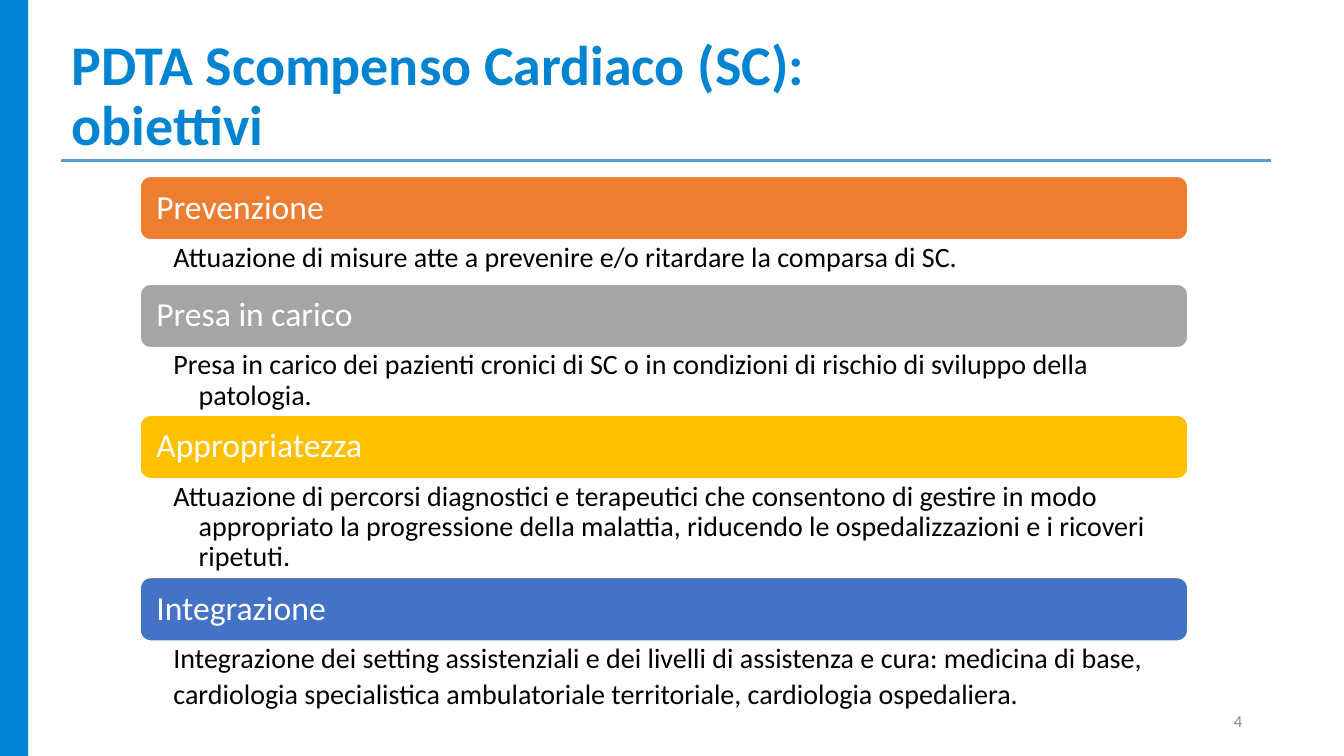
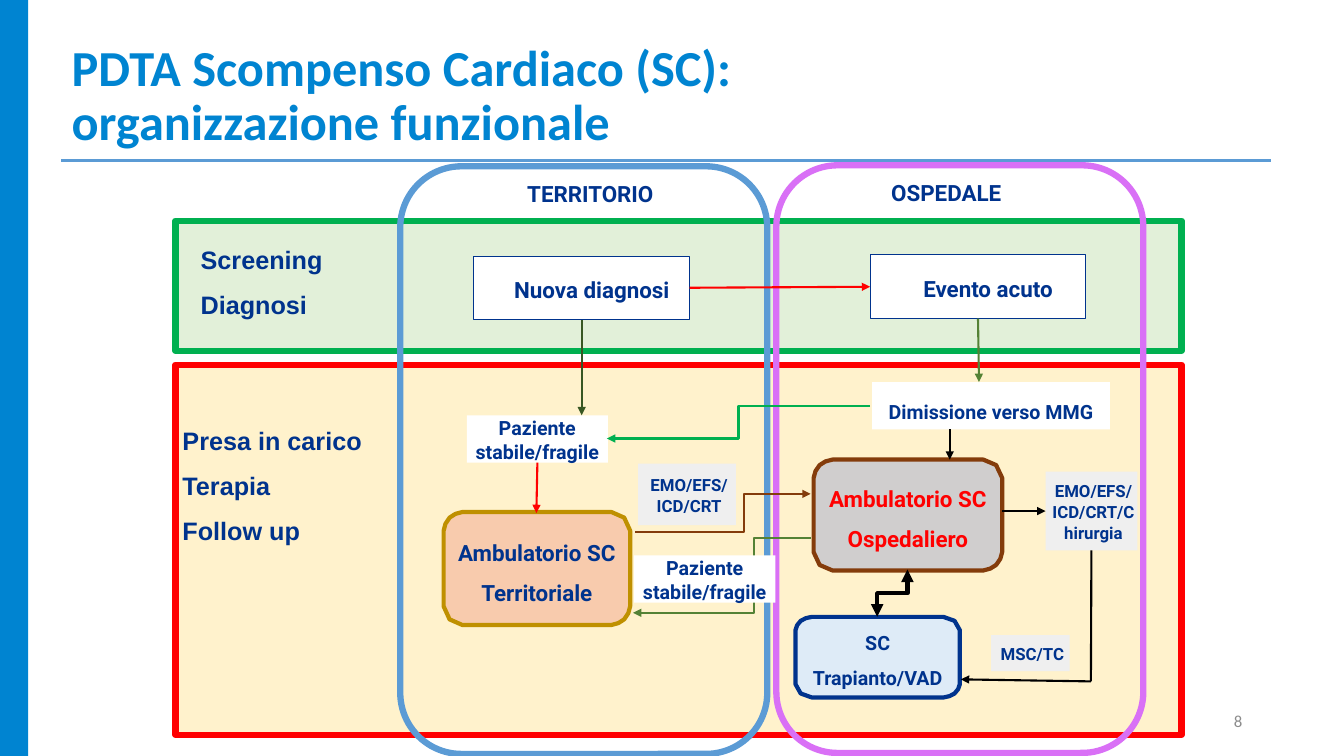
from lxml.etree import SubElement
from pptx import Presentation
from pptx.dml.color import RGBColor
from pptx.enum.shapes import MSO_CONNECTOR as Conn, MSO_SHAPE as Shape
from pptx.enum.text import MSO_ANCHOR as Anchor, MSO_AUTO_SIZE as AutoSize, PP_ALIGN as Align
from pptx.oxml.ns import qn
from pptx.util import Inches, Pt

BLUE = RGBColor(0x00, 0x84, 0xD1)
RULE = RGBColor(0x5B, 0x9B, 0xD5)
NAVY = RGBColor(0x00, 0x33, 0x8D)
WHITE = RGBColor(0xFF, 0xFF, 0xFF)
BLACK = RGBColor(0x00, 0x00, 0x00)
GREY = RGBColor(0x8C, 0x8C, 0x8C)
SILVER = RGBColor(0xA5, 0xA5, 0xA5)
ORANGE = RGBColor(0xED, 0x7D, 0x31)
AMBER = RGBColor(0xFF, 0xC0, 0x00)
INDIGO = RGBColor(0x44, 0x72, 0xC4)
RED = RGBColor(0xFF, 0x00, 0x00)
GREEN = RGBColor(0x00, 0xB0, 0x50)
OLIVE = RGBColor(0x54, 0x82, 0x35)
FOREST = RGBColor(0x38, 0x57, 0x23)
BROWN = RGBColor(0x84, 0x3C, 0x0B)
GOLD = RGBColor(0xBF, 0x90, 0x00)
VIOLET = RGBColor(0xD9, 0x70, 0xF6)
CREAM = RGBColor(0xFF, 0xF2, 0xCC)
MINT = RGBColor(0xE2, 0xF0, 0xD9)
PEACH = RGBColor(0xF8, 0xCB, 0xAD)
ASH = RGBColor(0xD0, 0xCE, 0xCE)
ICE = RGBColor(0xDE, 0xEB, 0xF7)
PALE = RGBColor(0xEF, 0xEF, 0xEF)

FINE = [(0, 1), (0.1, 0.63), (0.32, 0.3), (0.63, 0.1), (1, 0)]
COARSE = [(0, 1), (0.32, 0.3), (1, 0)]

GOALS = [
    ("Prevenzione", ORANGE, 0.44,
     "Attuazione di misure atte a prevenire e/o ritardare la comparsa di SC."),
    ("Presa in carico", SILVER, 0.67,
     "Presa in carico dei pazienti cronici di SC o in condizioni di rischio "
     "di sviluppo della patologia."),
    ("Appropriatezza", AMBER, 0.98,
     "Attuazione di percorsi diagnostici e terapeutici che consentono di gestire in modo "
     "appropriato la progressione della malattia, riducendo le ospedalizzazioni e i ricoveri "
     "ripetuti."),
    ("Integrazione", INDIGO, 0.75,
     "Integrazione dei setting assistenziali e dei livelli di assistenza e cura: "
     "medicina di base,\n"
     "cardiologia specialistica ambulatoriale territoriale, cardiologia ospedaliera."),
]


def write(tf, text, size=18, color=NAVY, font="Roboto", bold=True, align=Align.CENTER,
          spacing=1.0, after=0, anchor=Anchor.MIDDLE, insets=(0, 0, 0, 0), hang=0):
    tf.word_wrap = True
    tf.auto_size = AutoSize.NONE
    tf.vertical_anchor = anchor
    tf.margin_left, tf.margin_top, tf.margin_right, tf.margin_bottom = map(Inches, insets)
    for i, line in enumerate(text.split("\n")):
        p = tf.add_paragraph() if i else tf.paragraphs[0]
        p.alignment, p.line_spacing = align, spacing
        p.space_before, p.space_after = Pt(0), Pt(after)
        if hang:
            pPr = p._p.get_or_add_pPr()
            pPr.set("marL", str(Inches(hang)))
            pPr.set("indent", str(-Inches(hang)))
        r = p.add_run()
        r.text = line
        r.font.name, r.font.size, r.font.bold = font, Pt(size), bold
        r.font.color.rgb = color


def label(s, x, y, w, h, text, **fmt):
    tb = s.shapes.add_textbox(Inches(x), Inches(y), Inches(w), Inches(h))
    write(tb.text_frame, text, **fmt)


def paint(sp, fill=None, line=None, width=1):
    sp.shadow.inherit = False
    if fill is None:
        sp.fill.background()
    else:
        sp.fill.solid()
        sp.fill.fore_color.rgb = fill
    if line is None:
        sp.line.fill.background()
    else:
        sp.line.color.rgb = line
        sp.line.width = Pt(width)


def box(s, x, y, w, h, fill=None, line=None, width=1, kind=Shape.RECTANGLE, text="", **fmt):
    sp = s.shapes.add_shape(kind, Inches(x), Inches(y), Inches(w), Inches(h))
    paint(sp, fill, line, width)
    if text:
        write(sp.text_frame, text, **fmt)
    return sp


def clinic(s, x, y, w, h, fill, line, text, **fmt):
    rx, ry = 0.1 * w, 0.165 * h
    pts = [(x + a * rx, y + b * ry) for a, b in FINE]
    pts += [(x + w - a * rx, y + b * ry) for a, b in reversed(COARSE)]
    pts += [(x + w - a * rx, y + h - b * ry) for a, b in FINE]
    pts += [(x + a * rx, y + h - b * ry) for a, b in reversed(COARSE)]
    pts = [(Inches(px), Inches(py)) for px, py in pts]
    fb = s.shapes.build_freeform(*pts[0])
    fb.add_line_segments(pts[1:], close=True)
    sp = fb.convert_to_shape()
    paint(sp, fill, line, 3)
    write(sp.text_frame, text, spacing=1.5, insets=(0, 0, 0, 0.06), **fmt)


def link(s, start, end, color=BLACK, width=1.5, head=False, tail=True, adj=None,
         upright=False, src=None, dst=None):
    (x1, y1), (x2, y2) = start, end
    if upright:
        cx, cy, dx, dy = (x1 + x2) / 2, (y1 + y2) / 2, x2 - x1, y2 - y1
        x1, y1, x2, y2 = cx - dy / 2, cy + dx / 2, cx + dy / 2, cy - dx / 2
    kind = Conn.STRAIGHT if adj is None else Conn.ELBOW
    cn = s.shapes.add_connector(kind, Inches(x1), Inches(y1), Inches(x2), Inches(y2))
    if src:
        cn.begin_connect(*src)
    if dst:
        cn.end_connect(*dst)
    cn.line.color.rgb = color
    cn.line.width = Pt(width)
    spPr = cn._element.spPr
    if upright:
        spPr.find(qn("a:xfrm")).set("rot", "5400000")
    if adj is not None:
        guides = spPr.find(qn("a:prstGeom")).find(qn("a:avLst"))
        SubElement(guides, qn("a:gd"), name="adj1", fmla=f"val {round(adj * 100000)}")
    for tag, shown in (("a:headEnd", head), ("a:tailEnd", tail)):
        if shown:
            SubElement(spPr.find(qn("a:ln")), qn(tag), type="triangle")
    SubElement(spPr, qn("a:effectLst"))


def new_slide(prs, title, number, title_w, title_size):
    s = prs.slides.add_slide(prs.slide_layouts[5])
    box(s, 0, 0, 0.28, 7.5, BLUE)
    link(s, (0.61, 1.59), (12.61, 1.59), RULE, 2.25, tail=False)
    label(s, 9.42, 6.95, 3, 0.4, number, size=12, color=GREY, font="Calibri", bold=False,
          align=Align.RIGHT, insets=(0.1, 0.05, 0.1, 0.05))
    t = s.shapes.title
    t.left, t.top, t.width, t.height = map(Inches, (0.61, 0.34, title_w, 1.25))
    write(t.text_frame, title, size=title_size, color=BLUE, font="Calibri",
          align=Align.LEFT, spacing=0.9, insets=(0.1, 0.05, 0.1, 0.05))
    return s


def goal_list(s, x, y, w):
    band_h = 0.63
    plain = dict(font="Calibri", bold=False, align=Align.LEFT, spacing=0.9)
    for name, color, body_h, body in GOALS:
        box(s, x, y, w, band_h, color, WHITE, kind=Shape.ROUNDED_RECTANGLE, text=name,
            size=24, color=WHITE, insets=(0.13, 0.1, 0.13, 0.1), **plain)
        label(s, x, y + band_h, w, body_h, body, size=20, color=BLACK, after=4, hang=0.25,
              anchor=Anchor.TOP, insets=(0.33, 0.03, 0.16, 0.03), **plain)
        y += band_h + body_h


def phases(s, x, y, w):
    fmt = dict(font="Arial", align=Align.LEFT, spacing=1.5)
    box(s, x, y + 1.43, w, 3.67, CREAM, RED, 4.5)
    box(s, x, y, w, 1.29, MINT, GREEN, 4.5)
    label(s, x + 0.25, y + 0.08, 1.82, 0.94, "Screening\nDiagnosi", anchor=Anchor.TOP, **fmt)
    label(s, x + 0.07, y + 1.47, 2.01, 2.16, "Presa in carico\nTerapia\nFollow up", **fmt)


def setting(s, x, y, color, name, name_x, entry, entry_x):
    box(s, x, y, 3.64, 5.83, line=color, width=4.5, kind=Shape.ROUNDED_RECTANGLE)
    label(s, x + name_x, y + 0.02, 1.75, 0.37, name, size=16, spacing=1.5)
    return box(s, x + entry_x, y + 0.89, 2.14, 0.63, WHITE, NAVY, 0.71, text=entry,
               size=16, insets=(0.2, 0.04, 0, 0))


def stable_patient(s, x, y):
    return box(s, x, y, 1.4, 0.47, WHITE, text="Paziente stabile/fragile",
               size=14, spacing=1.05)


def devices(s, x, y, w, h, text):
    return box(s, x, y, w, h, PALE, text=text, size=12, spacing=1.05, insets=(0.04, 0, 0, 0))


def territory(s, x, y):
    entry = setting(s, x, y, RULE, "TERRITORIO", 1.01, "Nuova diagnosi", 0.73)
    clinic(s, x + 0.43, y + 3.43, 1.85, 1.12, PEACH, GOLD, "Ambulatorio SC\nTerritoriale",
           size=16)
    devices(s, x + 2.36, y + 2.95, 0.97, 0.61, "EMO/EFS/ ICD/CRT")
    return entry, stable_patient(s, x + 0.66, y + 2.47)


def hospital(s, x, y):
    entry = setting(s, x, y, VIOLET, "OSPEDALE", 0.81, "Evento acuto", 0.93)
    box(s, x + 0.95, y + 2.15, 2.36, 0.47, WHITE, text="Dimissione verso MMG",
        size=14, spacing=1.5)
    clinic(s, x + 0.37, y + 2.92, 1.87, 1.1, ASH, BROWN, "Ambulatorio SC\nOspedaliero",
           size=16, color=RED)
    clinic(s, x + 0.19, y + 4.48, 1.63, 0.8, ICE, NAVY, "SC\nTrapianto/VAD", size=14)
    surgery = devices(s, x + 2.67, y + 3.04, 0.91, 0.78, "EMO/EFS/ ICD/CRT/Chirurgia")
    devices(s, x + 2.13, y + 4.66, 0.78, 0.36, "MSC/TC")
    return entry, surgery


def care_pathway(s, x, y):
    def at(dx, dy):
        return x + dx, y + dy

    phases(s, x, y + 0.55, 9.98)
    diagnosis, patient = territory(s, *at(2.23, 0.01))
    event, surgery = hospital(s, *at(5.96, 0))
    link(s, at(5.09, 1.21), at(6.89, 1.21), RED, src=(diagnosis, 3), dst=(event, 1))
    link(s, at(4.03, 1.52), at(4.03, 2.48), FOREST, src=(diagnosis, 2))
    link(s, at(7.97, 1.52), at(7.97, 2.15), OLIVE, src=(event, 2))
    link(s, at(3.59, 2.95), at(3.58, 3.45), RED, src=(patient, 2))
    link(s, at(7.68, 2.62), at(7.68, 2.92))
    link(s, at(8.2, 3.43), at(8.63, 3.43), dst=(surgery, 1))
    link(s, at(9.08, 3.82), at(9.08, 5.12), tail=False, src=(surgery, 2))
    link(s, at(9.08, 5.12), at(7.79, 5.1))
    link(s, at(6.89, 2.39), at(4.28, 2.71), GREEN, adj=0.5)
    link(s, at(4.56, 3.64), at(6.3, 3.26), BROWN, adj=0.62)
    link(s, at(6.3, 3.7), at(4.54, 4.44), OLIVE, adj=0.32)
    link(s, at(7.26, 4.01), at(6.96, 4.48), width=3, head=True, adj=0.5, upright=True)
    stable_patient(s, *at(4.55, 3.87))


def main():
    prs = Presentation()
    prs.slide_width, prs.slide_height = Inches(13.33), Inches(7.5)
    s = new_slide(prs, "PDTA Scompenso Cardiaco (SC): obiettivi", "4", 9.38, 40)
    goal_list(s, 1.39, 1.75, 10.39)
    s = new_slide(prs, "PDTA Scompenso Cardiaco (SC): organizzazione funzionale", "8", 7.53, 36)
    care_pathway(s, 1.74, 1.64)
    prs.save("out.pptx")


if __name__ == "__main__":
    main()
